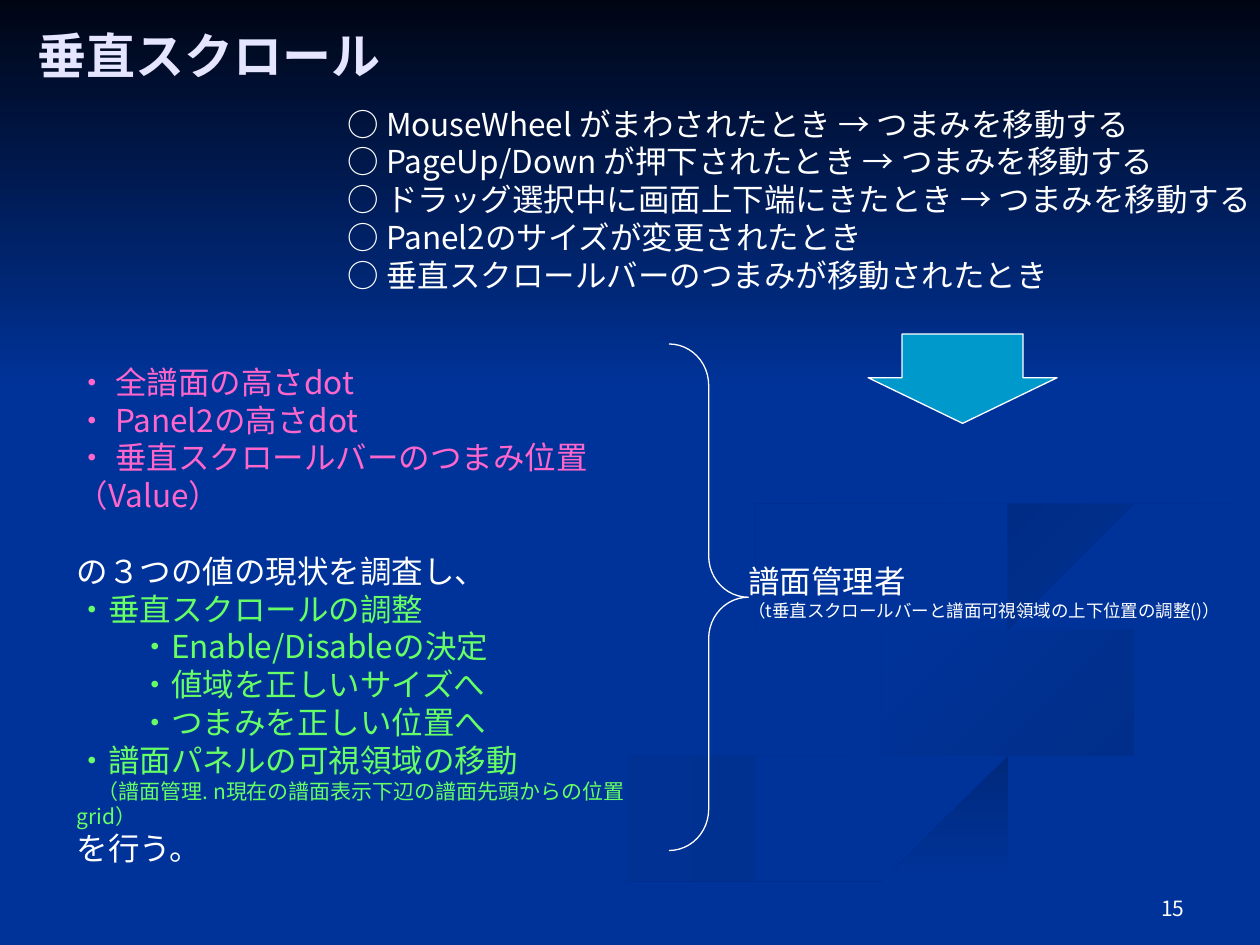
from pptx import Presentation
from pptx.dml.color import RGBColor
from pptx.enum.shapes import MSO_SHAPE
from pptx.enum.text import MSO_ANCHOR, PP_ALIGN
from pptx.oxml.ns import qn
from pptx.util import Inches, Pt

WIDTH, HEIGHT = 10, 7.5
FONT = "Noto Sans CJK JP"
LINE_RATIO = 1.2
CURVE_STEPS = 5
TOP, MIDDLE, BOTTOM = MSO_ANCHOR.TOP, MSO_ANCHOR.MIDDLE, MSO_ANCHOR.BOTTOM
LEFT, RIGHT = PP_ALIGN.LEFT, PP_ALIGN.RIGHT
NAVY, WHITE, LAVENDER = "003399", "FFFFFF", "E5E5FF"
PINK, GREEN, CYAN = "FF66CC", "66FF66", "0099CC"

# Content: each line is its text and its format
TITLE = [("垂直スクロール", dict(size=28, color=LAVENDER, bold=True))]
TRIGGERS = [(line, {}) for line in (
    "○ MouseWheel がまわされたとき → つまみを移動する",
    "○ PageUp/Down が押下されたとき → つまみを移動する",
    "○ ドラッグ選択中に画面上下端にきたとき → つまみを移動する",
    "○ Panel2のサイズが変更されたとき",
    "○ 垂直スクロールバーのつまみが移動されたとき",
)]
STEPS = [
    ("・ 全譜面の高さdot", dict(color=PINK)),
    ("・ Panel2の高さdot", dict(color=PINK)),
    ("・ 垂直スクロールバーのつまみ位置（Value）", dict(color=PINK)),
    ("の３つの値の現状を調査し、", dict(before=18 * LINE_RATIO)),
    ("・垂直スクロールの調整", dict(color=GREEN)),
    ("・Enable/Disableの決定", dict(color=GREEN, indent=36)),
    ("・値域を正しいサイズへ", dict(color=GREEN, indent=36)),
    ("・つまみを正しい位置へ", dict(color=GREEN, indent=36)),
    ("・譜面パネルの可視領域の移動", dict(color=GREEN)),
    ("（譜面管理. n現在の譜面表示下辺の譜面先頭からの位置grid）",
     dict(color=GREEN, size=12, indent=12)),
    ("を行う。", {}),
]
MANAGER = [
    ("譜面管理者", {}),
    ("（t垂直スクロールバーと譜面可視領域の上下位置の調整()）", dict(size=10)),
]
PAGE_NUMBER = [("15", dict(size=12, align=RIGHT))]

# Background ribbons: start colour, end colour, gradient angle,
# then the two edges, each a smooth curve through a few points
RIBBONS = [
    ("002E8A", NAVY, 180,
     [(5.75, 4.6), (6.4, 5.07), (7.6, 5.45), (8, 5.8), (6.5, 6.4), (3.6, 7.49)],
     [(3, 7.49), (5.4, 6.5), (7.5, 5.94), (7.8, 5.56), (6.3, 5.05), (5.7, 4.7)]),
    ("002E8A", NAVY, 225,
     [(7.24, 4.64), (7.9, 5.09), (9.05, 5.4), (9.43, 5.7), (8.94, 6.05)],
     [(8.94, 6.05), (9.17, 5.76), (8.4, 5.36), (7.5, 5.03), (7.24, 4.64)]),
    ("00297C", NAVY, 90,
     [(5.03, 7.49), (6.3, 6.93), (7.97, 6.38), (9.98, 5.81)],
     [(9.98, 6.09), (7.85, 6.61), (6.5, 7.1), (5.7, 7.49)]),
    (NAVY, "002C85", 225,
     [(9.98, 4.02), (8.65, 4.24), (7.81, 4.6), (8.26, 4.96)],
     [(8.26, 4.96), (8.06, 4.7), (8.78, 4.39), (9.98, 4.2)]),
    (NAVY, "002B81", 225,
     [(7.62, 2.33), (8.7, 2.95), (8.94, 3.44), (8.25, 4.02), (6.83, 4.3),
      (5.94, 4.7), (6.22, 5)],
     [(6.22, 5), (5.77, 4.62), (6.5, 4.2), (8.3, 3.82), (8.88, 3.35),
      (8.4, 2.75), (7.62, 2.33)]),
]


def rgb(value):
    return RGBColor.from_string(value)


def inches(*values):
    return [Inches(value) for value in values]


def smooth(knots):
    """Sample a Catmull-Rom curve that passes through every knot."""
    padded = [knots[0], *knots, knots[-1]]
    curve = []
    for a, b, c, d in zip(padded, padded[1:], padded[2:], padded[3:]):
        for step in range(CURVE_STEPS):
            t = step / CURVE_STEPS
            curve.append(tuple(
                q + t * (r - p + t * (2 * p - 5 * q + 4 * r - s
                                      + t * (3 * q - p - 3 * r + s))) / 2
                for p, q, r, s in zip(a, b, c, d)))
    return curve + [knots[-1]]


def paint_gradient(shape, start, end, clockwise):
    shape.shadow.inherit = False
    shape.line.fill.background()
    shape.fill.gradient()
    shape.fill.gradient_angle = -clockwise % 360
    for stop, color, position in zip(shape.fill.gradient_stops, (start, end), (0, 1)):
        stop.color.rgb = rgb(color)
        stop.position = position


def add_ribbon(slide, start, end, clockwise, *edges):
    points = [point for edge in edges for point in smooth(edge)]
    builder = slide.shapes.build_freeform(*points[0], scale=Inches(1))
    builder.add_line_segments(points[1:], close=True)
    paint_gradient(builder.convert_to_shape(), start, end, clockwise)


def add_outlined(slide, kind, area, adjustments, fill=None):
    shape = slide.shapes.add_shape(kind, *inches(*area))
    shape.shadow.inherit = False
    for index, value in enumerate(adjustments):
        shape.adjustments[index] = value
    if fill:
        shape.fill.solid()
        shape.fill.fore_color.rgb = rgb(fill)
    else:
        shape.fill.background()
    shape.line.color.rgb = rgb(WHITE)
    shape.line.width = Pt(0.75)


def write_line(para, text, size=18, color=WHITE, bold=False, align=LEFT,
               before=0, indent=0):
    para.alignment = align
    para.space_before = Pt(before)
    para.line_spacing = Pt(size * LINE_RATIO)
    para._p.get_or_add_pPr().set("indent", str(Pt(indent)))
    span = para.add_run()
    span.text = text
    span.font.size, span.font.bold, span.font.name = Pt(size), bold, FONT
    span.font.color.rgb = rgb(color)
    run_format = span._r.get_or_add_rPr()
    run_format.append(run_format.makeelement(qn("a:ea"), {"typeface": FONT}))


def add_text(slide, area, lines, wrap=True, anchor=TOP, margin=0):
    frame = slide.shapes.add_textbox(*inches(*area)).text_frame
    frame.word_wrap = wrap
    frame.vertical_anchor = anchor
    frame.margin_top = frame.margin_bottom = Inches(margin)
    for index, (text, style) in enumerate(lines):
        para = frame.add_paragraph() if index else frame.paragraphs[0]
        write_line(para, text, **style)


def main():
    deck = Presentation()
    deck.slide_width, deck.slide_height = inches(WIDTH, HEIGHT)
    slide = deck.slides.add_slide(deck.slide_layouts[6])

    # Background
    slide.background.fill.solid()
    slide.background.fill.fore_color.rgb = rgb(NAVY)
    for ribbon in RIBBONS:
        add_ribbon(slide, *ribbon)
    sky = slide.shapes.add_shape(MSO_SHAPE.RECTANGLE, *inches(0, 0, WIDTH, 3.08))
    paint_gradient(sky, "000514", NAVY, 90)

    # Title, triggers and the flow to the manager
    add_text(slide, (0.2, 0.13, 9.61, 0.61), TITLE, anchor=MIDDLE, margin=0.05)
    add_text(slide, (2.66, 0.83, 7.37, 1.5), TRIGGERS, wrap=False)
    add_outlined(slide, MSO_SHAPE.RIGHT_BRACE, (5.31, 2.73, 0.63, 4.02), (0.52, 0.5))
    add_outlined(slide, MSO_SHAPE.DOWN_ARROW, (6.89, 2.65, 1.5, 0.71), (0.64, 0.51), CYAN)
    add_text(slide, (0.51, 2.88, 4.88, 4), STEPS)
    add_text(slide, (5.84, 4.46, 4.07, 0.47), MANAGER, wrap=False)
    add_text(slide, (7.17, 7.06, 2.33, 0.3), PAGE_NUMBER, anchor=BOTTOM, margin=0.05)

    deck.save("out.pptx")


if __name__ == "__main__":
    main()
